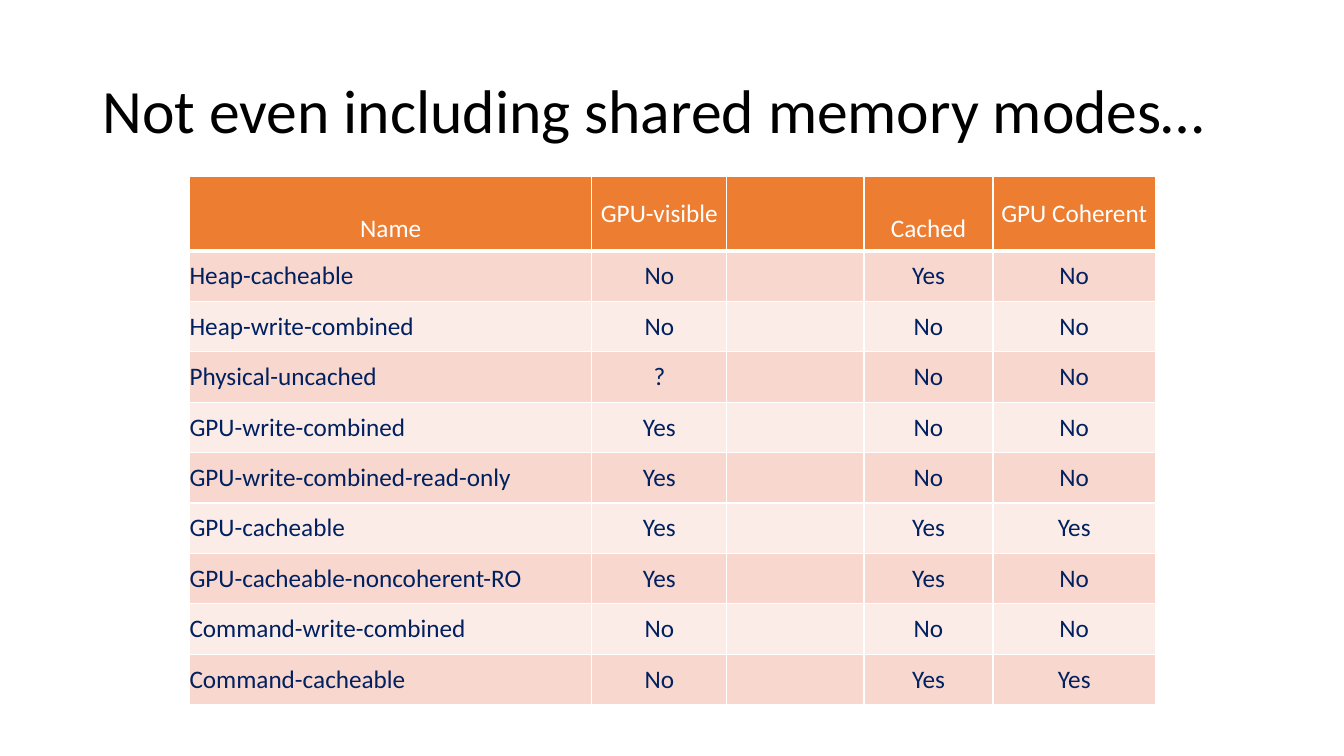
from dataclasses import dataclass

from lxml.etree import SubElement
from pptx import Presentation
from pptx.dml.color import RGBColor
from pptx.enum.text import MSO_ANCHOR, PP_ALIGN
from pptx.oxml.ns import qn
from pptx.slide import Slide
from pptx.table import _Cell
from pptx.util import Inches, Pt


@dataclass(frozen=True)
class Theme:
    font: str = "Calibri"
    title_size: int = 44
    table_size: int = 18
    title_color: str = "000000"
    header_color: str = "FFFFFF"
    body_color: str = "002060"
    header_fill: str = "ED7D31"
    band_fills: tuple[str, str] = ("F8D7CE", "FCECE8")
    border_color: str = "FFFFFF"
    border_width: float = 1
    header_rule_width: float = 3


@dataclass(frozen=True)
class Column:
    heading: str
    width: float
    align: PP_ALIGN = PP_ALIGN.CENTER
    heading_inset: float = 0


@dataclass(frozen=True)
class MemoryMode:
    name: str
    gpu_visible: str
    cached: str
    gpu_coherent: str

    def values(self) -> tuple[str, ...]:
        return self.name, self.gpu_visible, "", self.cached, self.gpu_coherent


THEME = Theme()
TITLE = "Not even including shared memory modes…"
HEADER_HEIGHT = 0.74
ROW_HEIGHT = 0.5
COLUMNS = (
    Column("Name", 3.99, PP_ALIGN.LEFT, 0.3),
    Column("GPU-visible", 1.34),
    Column("", 1.36),
    Column("Cached", 1.28, heading_inset=0.3),
    Column("GPU Coherent", 1.61),
)
MODES = (
    MemoryMode("Heap-cacheable", "No", "Yes", "No"),
    MemoryMode("Heap-write-combined", "No", "No", "No"),
    MemoryMode("Physical-uncached", "?", "No", "No"),
    MemoryMode("GPU-write-combined", "Yes", "No", "No"),
    MemoryMode("GPU-write-combined-read-only", "Yes", "No", "No"),
    MemoryMode("GPU-cacheable", "Yes", "Yes", "Yes"),
    MemoryMode("GPU-cacheable-noncoherent-RO", "Yes", "Yes", "No"),
    MemoryMode("Command-write-combined", "No", "No", "No"),
    MemoryMode("Command-cacheable", "No", "Yes", "Yes"),
)


def add_title(page: Slide) -> None:
    box = page.shapes.add_textbox(Inches(0.92), Inches(0.4), Inches(11.5), Inches(1.45))
    frame = box.text_frame
    frame.word_wrap = True
    frame.vertical_anchor = MSO_ANCHOR.MIDDLE
    para = frame.paragraphs[0]
    para.text = TITLE
    para.line_spacing = 0.9
    para.font.name = THEME.font
    para.font.size = Pt(THEME.title_size)
    para.font.color.rgb = RGBColor.from_string(THEME.title_color)


def set_borders(cell: _Cell, bottom_width: float) -> None:
    """Line all four sides; the border elements must come before the fill."""
    properties = cell._tc.get_or_add_tcPr()
    for position, side in enumerate(("lnL", "lnR", "lnT", "lnB")):
        width = bottom_width if side == "lnB" else THEME.border_width
        line = SubElement(properties, qn(f"a:{side}"), w=str(Pt(width)))
        fill = SubElement(line, qn("a:solidFill"))
        SubElement(fill, qn("a:srgbClr"), val=THEME.border_color)
        properties.insert(position, line)


def fill_cell(cell: _Cell, text: str, align: PP_ALIGN, color: str, fill: str,
              top_inset: float = 0, bottom_width: float = THEME.border_width) -> None:
    cell.fill.solid()
    cell.fill.fore_color.rgb = RGBColor.from_string(fill)
    cell.vertical_anchor = MSO_ANCHOR.MIDDLE
    cell.margin_left = cell.margin_right = cell.margin_bottom = 0
    cell.margin_top = Inches(top_inset)
    set_borders(cell, bottom_width)
    para = cell.text_frame.paragraphs[0]
    para.text = text
    para.alignment = align
    para.font.name = THEME.font
    para.font.size = Pt(THEME.table_size)
    para.font.color.rgb = RGBColor.from_string(color)


def add_mode_table(page: Slide) -> None:
    width = sum(column.width for column in COLUMNS)
    height = HEADER_HEIGHT + ROW_HEIGHT * len(MODES)
    table = page.shapes.add_table(
        len(MODES) + 1, len(COLUMNS),
        Inches(1.88), Inches(1.75), Inches(width), Inches(height),
    ).table
    table.first_row = False
    table.horz_banding = False
    for row in table.rows:
        row.height = Inches(ROW_HEIGHT)
    table.rows[0].height = Inches(HEADER_HEIGHT)

    for index, column in enumerate(COLUMNS):
        table.columns[index].width = Inches(column.width)
        fill_cell(table.cell(0, index), column.heading, PP_ALIGN.CENTER,
                  THEME.header_color, THEME.header_fill,
                  column.heading_inset, THEME.header_rule_width)
        for row_index, mode in enumerate(MODES):
            fill_cell(table.cell(row_index + 1, index), mode.values()[index],
                      column.align, THEME.body_color, THEME.band_fills[row_index % 2])


def main() -> None:
    deck = Presentation()
    deck.slide_width = Inches(13.33)
    deck.slide_height = Inches(7.5)
    page = deck.slides.add_slide(deck.slide_layouts[6])
    add_title(page)
    add_mode_table(page)
    deck.save("out.pptx")


if __name__ == "__main__":
    main()
